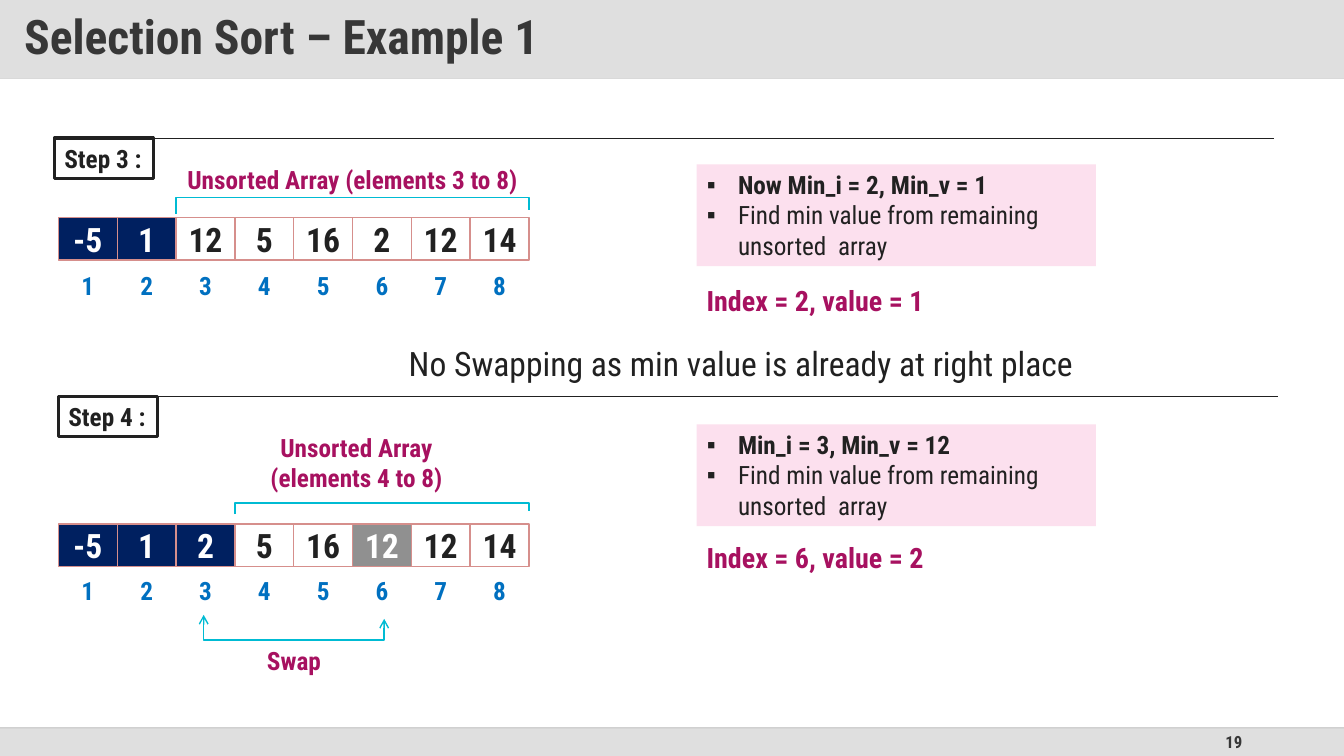
from dataclasses import dataclass

from lxml.etree import SubElement
from pptx import Presentation
from pptx.dml.color import RGBColor
from pptx.enum.shapes import MSO_CONNECTOR as Connector, MSO_SHAPE as Shape
from pptx.enum.text import MSO_ANCHOR as Anchor, MSO_AUTO_SIZE as AutoSize, PP_ALIGN as Align
from pptx.oxml.ns import qn
from pptx.util import Inches, Pt


@dataclass(frozen=True)
class Theme:
    font: str = "Roboto Condensed"
    ink: str = "212121"
    title: str = "373737"
    white: str = "FFFFFF"
    band: str = "DFDFDF"
    title_band: str = "C0C0C0"
    title_rule: str = "D9D9D9"
    footer_rule: str = "BFBFBF"
    sorted_cell: str = "002060"
    min_cell: str = "909090"
    cell_edge: str = "D68F8C"
    index: str = "0070C0"
    accent: str = "A71160"
    bracket: str = "00BBD3"
    panel: str = "FCE0EE"
    title_size: int = 34
    value_size: int = 24
    result_size: int = 20
    text_size: int = 18
    number_size: int = 12


THEME = Theme()

# Slide frame and the grid of the arrays
WIDTH, HEIGHT = 13.33, 7.5
HEADER, FOOTER = 0.78, 0.28
ARRAY_LEFT, CELL_WIDTH, CELL_HEIGHT = 0.58, 7 / 12, 0.42
PANEL_LEFT, PANEL_WIDTH, PANEL_HEIGHT = 6.91, 3.96, 1.01
RULE_LENGTH = 12.1


def column(number):
    """Left edge of an array column, counted from 1."""
    return ARRAY_LEFT + (number - 1) * CELL_WIDTH


def rgb(colour):
    return RGBColor.from_string(colour)


def set_all(target, formats):
    for name, value in formats.items():
        setattr(target, name, value)


def set_alpha(parent, percent):
    for colour in parent.iter(qn("a:srgbClr")):
        SubElement(colour, qn("a:alpha"), val=str(percent * 1000))


def place(item, left, top, width, height):
    set_all(item, dict(left=Inches(left), top=Inches(top),
                       width=Inches(width), height=Inches(height)))


def paint(box, fill=None, edge=None, weight=1):
    if fill:
        box.fill.solid()
        box.fill.fore_color.rgb = rgb(fill)
    else:
        box.fill.background()
    if edge:
        box.line.color.rgb = rgb(edge)
        box.line.width = Pt(weight)
    else:
        box.line.fill.background()


def style(para, size, colour, bold=True, align=Align.LEFT):
    set_all(para, dict(alignment=align, space_before=Pt(0)))
    set_all(para.font, dict(name=THEME.font, size=Pt(size), bold=bold))
    para.font.color.rgb = rgb(colour)


def write(box, lines, size, colour, bold=True, align=Align.LEFT, anchor=Anchor.TOP, wrap=True):
    frame = box.text_frame
    set_all(frame, dict(text="\n".join(lines), word_wrap=wrap, vertical_anchor=anchor,
                        auto_size=AutoSize.NONE))
    for para in frame.paragraphs:
        style(para, size, colour, bold, align)


def add_box(page, area, fill=None, edge=None, weight=1):
    box = page.shapes.add_shape(Shape.RECTANGLE, *map(Inches, area))
    box.shadow.inherit = False
    paint(box, fill, edge, weight)
    return box


def add_label(page, area, lines, size, colour, **formats):
    label = page.shapes.add_textbox(*map(Inches, area))
    write(label, lines, size, colour, **formats)


def add_rule(page, left, top, length, colour, weight):
    rule = page.shapes.add_connector(Connector.STRAIGHT, *map(Inches, (left, top, left + length, top)))
    rule.line.color.rgb = rgb(colour)
    rule.line.width = Pt(weight)
    SubElement(rule.element.spPr, qn("a:effectLst"))
    return rule


def add_bracket(page, points, arrows=False):
    start, *others = [tuple(map(Inches, point)) for point in points]
    builder = page.shapes.build_freeform(*start)
    builder.add_line_segments(others, close=False)
    bracket = builder.convert_to_shape()
    bracket.shadow.inherit = False
    paint(bracket, edge=THEME.bracket)
    if arrows:
        line = bracket.element.spPr.find(qn("a:ln"))
        for end in ("a:headEnd", "a:tailEnd"):
            SubElement(line, qn(end), type="arrow")


def add_array(page, top, index_top, values, sorted_count, minimum=None):
    for number, value in enumerate(values, 1):
        fill, ink = THEME.white, THEME.ink
        if number <= sorted_count:
            fill, ink = THEME.sorted_cell, THEME.white
        elif number == minimum:
            fill, ink = THEME.min_cell, THEME.white
        size = (CELL_WIDTH, CELL_HEIGHT)
        cell = add_box(page, (column(number), top, *size), fill, THEME.cell_edge)
        write(cell, [str(value)], THEME.value_size, ink, align=Align.CENTER, anchor=Anchor.MIDDLE)
        index = add_box(page, (column(number), index_top, *size), THEME.white)
        write(index, [str(number)], THEME.text_size, THEME.index,
              align=Align.CENTER, anchor=Anchor.MIDDLE)


def add_step(page, name, left, top):
    add_rule(page, left, top, RULE_LENGTH, THEME.ink, 0.5)
    box = add_box(page, (left, top, 0.98, 0.4), edge=THEME.ink, weight=2.25)
    write(box, [name], THEME.text_size, THEME.ink, wrap=False)


def fill_panel(body, top, lines):
    place(body, PANEL_LEFT, top, PANEL_WIDTH, PANEL_HEIGHT)
    paint(body, THEME.panel)
    write(body, lines, THEME.text_size, THEME.ink)
    for number, para in enumerate(body.text_frame.paragraphs):
        props = para._p.get_or_add_pPr()
        indent = Inches(0.31)
        props.set("marL", str(indent))
        props.set("indent", str(-indent))
        bullet = props.makeelement(qn("a:buChar"), {"char": "▪"})
        props.find(qn("a:defRPr")).addprevious(bullet)
        para.font.bold = number == 0


def add_result(page, top, text):
    box = add_box(page, (PANEL_LEFT, top, 2.62, 0.44), THEME.white)
    write(box, [text], THEME.result_size, THEME.accent)


def add_frame(page, title, number):
    # Footer band, page number and the two rules
    footer_top = HEIGHT - FOOTER
    add_box(page, (0, footer_top, WIDTH, FOOTER), THEME.band)
    add_label(page, (9.42, footer_top, 3, FOOTER), [number], THEME.number_size, THEME.title,
              align=Align.RIGHT, anchor=Anchor.MIDDLE)
    add_rule(page, 0, HEADER, WIDTH, THEME.title_rule, 1)
    set_alpha(add_rule(page, 0, footer_top, WIDTH, THEME.footer_rule, 1).element.spPr, 70)
    # Title on a half transparent band
    heading = page.shapes.title
    place(heading, 0, 0, WIDTH, HEADER)
    paint(heading, THEME.title_band)
    set_alpha(heading.element.spPr, 50)
    write(heading, [title], THEME.title_size, THEME.title, anchor=Anchor.MIDDLE)
    set_all(heading.text_frame, dict(margin_left=Inches(0.24), margin_right=Inches(0.24),
                                     margin_top=Inches(0.12), margin_bottom=Inches(0.12)))
    heading.text_frame.paragraphs[0].line_spacing = 0.9


def main():
    deck = Presentation()
    set_all(deck, dict(slide_width=Inches(WIDTH), slide_height=Inches(HEIGHT)))
    page = deck.slides.add_slide(deck.slide_layouts.get_by_name("Two Content"))
    add_frame(page, "Selection Sort – Example 1", "19")
    search = "Find min value from remaining unsorted  array"
    caption = dict(size=THEME.text_size, colour=THEME.accent, align=Align.CENTER)
    end = column(9)

    # Step 3: the minimum is already in place
    add_step(page, "Step 3 :", 0.54, 1.37)
    add_array(page, 2.16, 2.62, [-5, 1, 12, 5, 16, 2, 12, 14], sorted_count=2)
    add_bracket(page, [(column(3), 2.12), (column(3), 1.96), (end, 1.96), (end, 2.08)])
    add_label(page, (1.62, 1.58, 3.75, 0.4), ["Unsorted Array (elements 3 to 8)"], **caption)
    fill_panel(page.placeholders[1], 1.63, ["Now Min_i = 2, Min_v = 1", search])
    add_result(page, 2.76, "Index = 2, value = 1")
    remark = add_box(page, (3.88, 3.35, 6.94, 0.5), THEME.white)
    write(remark, ["No Swapping as min value is already at right place"], THEME.value_size,
          THEME.ink, bold=False, align=Align.CENTER, wrap=False)

    # Step 4: columns 3 and 6 change places
    add_step(page, "Step 4 :", 0.58, 3.93)
    add_array(page, 5.2, 5.65, [-5, 1, 2, 5, 16, 12, 12, 14], sorted_count=3, minimum=6)
    add_bracket(page, [(column(4), 5.1), (column(4), 4.99), (end, 4.99), (end, 5.07)])
    add_label(page, (1.66, 4.24, 3.75, 0.71), ["Unsorted Array", "(elements 4 to 8)"], **caption)
    add_bracket(page, [(2.02, 6.1), (2.02, 6.35), (3.81, 6.35), (3.81, 6.14)], arrows=True)
    add_label(page, (2.42, 6.35, 0.99, 0.4), ["Swap"], **caption)
    fill_panel(page.placeholders[2], 4.21, ["Min_i = 3, Min_v = 12", search])
    add_result(page, 5.31, "Index = 6, value = 2")

    deck.save("out.pptx")


if __name__ == "__main__":
    main()
